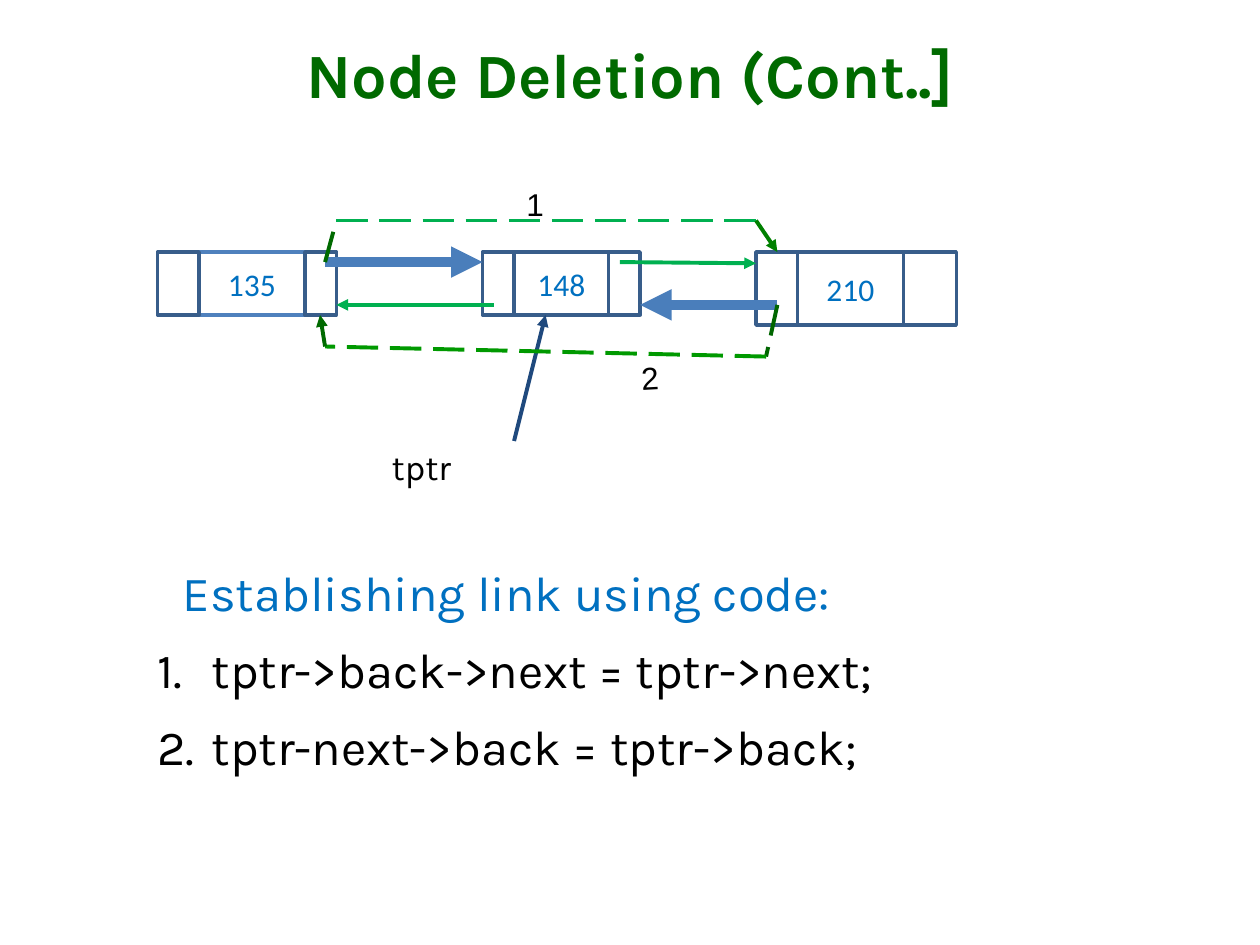
"""Build a slide showing how a node is deleted from a doubly linked list."""
from lxml.etree import SubElement
from pptx import Presentation
from pptx.dml.color import RGBColor
from pptx.enum.dml import MSO_LINE
from pptx.enum.shapes import MSO_CONNECTOR, MSO_SHAPE
from pptx.enum.text import MSO_ANCHOR, MSO_AUTO_SIZE, PP_ALIGN
from pptx.oxml.ns import qn
from pptx.util import Inches, Pt

COLORS = {
    "title": "006A00", "text": "000000", "accent": "0070C0",
    "border": "385D8A", "light_border": "4F81BD", "old_link": "4A7EBB",
    "kept_link": "00B050", "pointer": "1F497D", "path_start": "006A00",
    "path_next": "00B050", "path_next_end": "008000",
    "path_back_start": "006600", "path_back": "009900",
}


def color(name):
    return RGBColor.from_string(COLORS[name])


def place(shape, left, top, width, height):
    shape.left, shape.top = Inches(left), Inches(top)
    shape.width, shape.height = Inches(width), Inches(height)


def style(paragraph, size, font_name, color_name, bold=False):
    font = paragraph.font
    font.size, font.name, font.bold = Pt(size), font_name, bold
    font.color.rgb = color(color_name)


def clear_margins(frame):
    frame.margin_left = frame.margin_right = 0
    frame.margin_top = frame.margin_bottom = 0


def add_title(page, text):
    title = page.shapes.title
    place(title, 0.5, 0.08, 9, 1)
    frame = title.text_frame
    frame.text = text
    frame.auto_size = MSO_AUTO_SIZE.NONE
    frame.vertical_anchor = MSO_ANCHOR.MIDDLE
    paragraph = frame.paragraphs[0]
    paragraph.alignment = PP_ALIGN.CENTER
    style(paragraph, 36, "Karla", "title", bold=True)


def add_code_steps(page, heading, steps):
    body = page.placeholders[1]
    place(body, 1.25, 4.42, 8.25, 2.4)
    frame = body.text_frame
    clear_margins(frame)
    frame.auto_size = MSO_AUTO_SIZE.NONE
    frame.text = "\n".join([heading, *steps])
    for index, paragraph in enumerate(frame.paragraphs):
        properties = paragraph._p.get_or_add_pPr()
        margin, indent = (0.43, -0.43) if index else (0.2, 0)
        properties.set("marL", str(Inches(margin)))
        properties.set("indent", str(Inches(indent)))
        if index:
            SubElement(properties, qn("a:buFont"), typeface="Karla")
            SubElement(properties, qn("a:buAutoNum"), type="arabicPeriod")
        else:
            SubElement(properties, qn("a:buNone"))
        paragraph.line_spacing = 1.1
        paragraph.space_before = Pt(7 if index else 0)
        style(paragraph, 28, "Karla", "text" if index else "accent")


def add_cell(page, left, top, width, height, text="", border="border"):
    cell = page.shapes.add_shape(
        MSO_SHAPE.RECTANGLE, Inches(left), Inches(top), Inches(width), Inches(height))
    cell.shadow.inherit = False
    cell.fill.background()
    cell.line.color.rgb = color(border)
    cell.line.width = Pt(2)
    if text:
        cell.text_frame.text = text
        cell.text_frame.vertical_anchor = MSO_ANCHOR.MIDDLE
        paragraph = cell.text_frame.paragraphs[0]
        paragraph.alignment = PP_ALIGN.CENTER
        style(paragraph, 18, "Calibri", "accent")


def add_node(page, left, height, widths, value, border="border"):
    back, data, following = widths
    add_cell(page, left + back, 2, data, height, value, border)
    add_cell(page, left + back + data, 2, following, height)
    add_cell(page, left, 2, back, height)


def add_line(page, start, end, color_name, width=2.25, dashed=False, arrow=True):
    line = page.shapes.add_connector(
        MSO_CONNECTOR.STRAIGHT, *(Inches(value) for value in (*start, *end)))
    SubElement(line._element.spPr, qn("a:effectLst"))
    line.line.color.rgb = color(color_name)
    line.line.width = Pt(width)
    if dashed:
        line.line.dash_style = MSO_LINE.LONG_DASH
    if arrow:
        SubElement(line.line._get_or_add_ln(), qn("a:tailEnd"), type="triangle")


def add_dashed_path(page, points, color_names):
    last = len(color_names) - 1
    for index, name in enumerate(color_names):
        add_line(page, points[index], points[index + 1], name,
                 dashed=True, arrow=index == last)


def add_label(page, text, left, top, width, size=18, font_name="Arial", rotation=0):
    box = page.shapes.add_textbox(Inches(left), Inches(top), Inches(width), Inches(0.4))
    box.rotation = rotation
    frame = box.text_frame
    frame.word_wrap = True
    frame.text = text
    style(frame.paragraphs[0], size, font_name, "text")


def main():
    deck = Presentation()
    deck.slide_width, deck.slide_height = Inches(10), Inches(7.5)
    page = deck.slides.add_slide(deck.slide_layouts[1])

    add_title(page, "Node Deletion (Cont..]")
    add_code_steps(page, "Establishing link using code:",
                   ["tptr->back->next = tptr->next;", "tptr-next->back = tptr->back;"])

    add_node(page, 1.25, 0.5, (0.33, 0.84, 0.25), "135", "light_border")
    add_node(page, 3.83, 0.5, (0.25, 0.75, 0.25), "148")
    add_node(page, 6, 0.58, (0.33, 0.84, 0.42), "210")

    add_line(page, (2.58, 2.08), (3.83, 2.08), "old_link", 6)
    add_line(page, (4.92, 2.08), (6, 2.09), "kept_link")
    add_line(page, (6.17, 2.42), (5.08, 2.42), "old_link", 6)
    add_line(page, (3.92, 2.42), (2.67, 2.42), "kept_link")
    add_line(page, (4.08, 3.5), (4.33, 2.5), "pointer")

    add_dashed_path(page, [(2.58, 2.08), (2.67, 1.75), (6, 1.75), (6.17, 2)],
                    ["path_start", "path_next", "path_next_end"])
    add_dashed_path(page, [(6.17, 2.42), (6.08, 2.83), (2.58, 2.75), (2.54, 2.5)],
                    ["path_back_start", "path_back", "path_start"])

    add_label(page, "1", 4.08, 1.42, 0.42)
    add_label(page, "2", 4.99, 2.78, 0.8, rotation=-3.1)
    add_label(page, "tptr", 3.01, 3.49, 0.9, 20, "Karla")

    deck.save("out.pptx")


if __name__ == "__main__":
    main()
